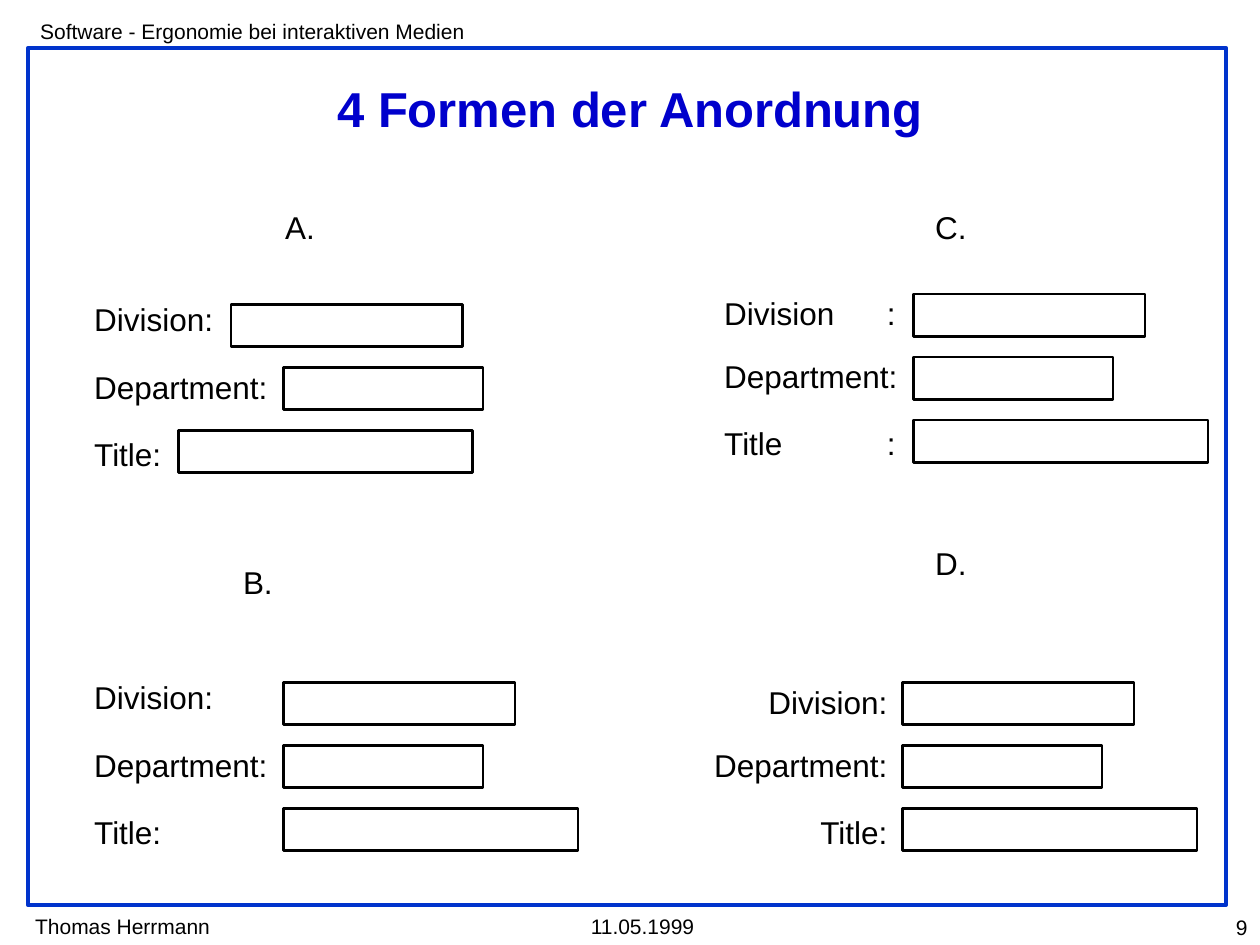
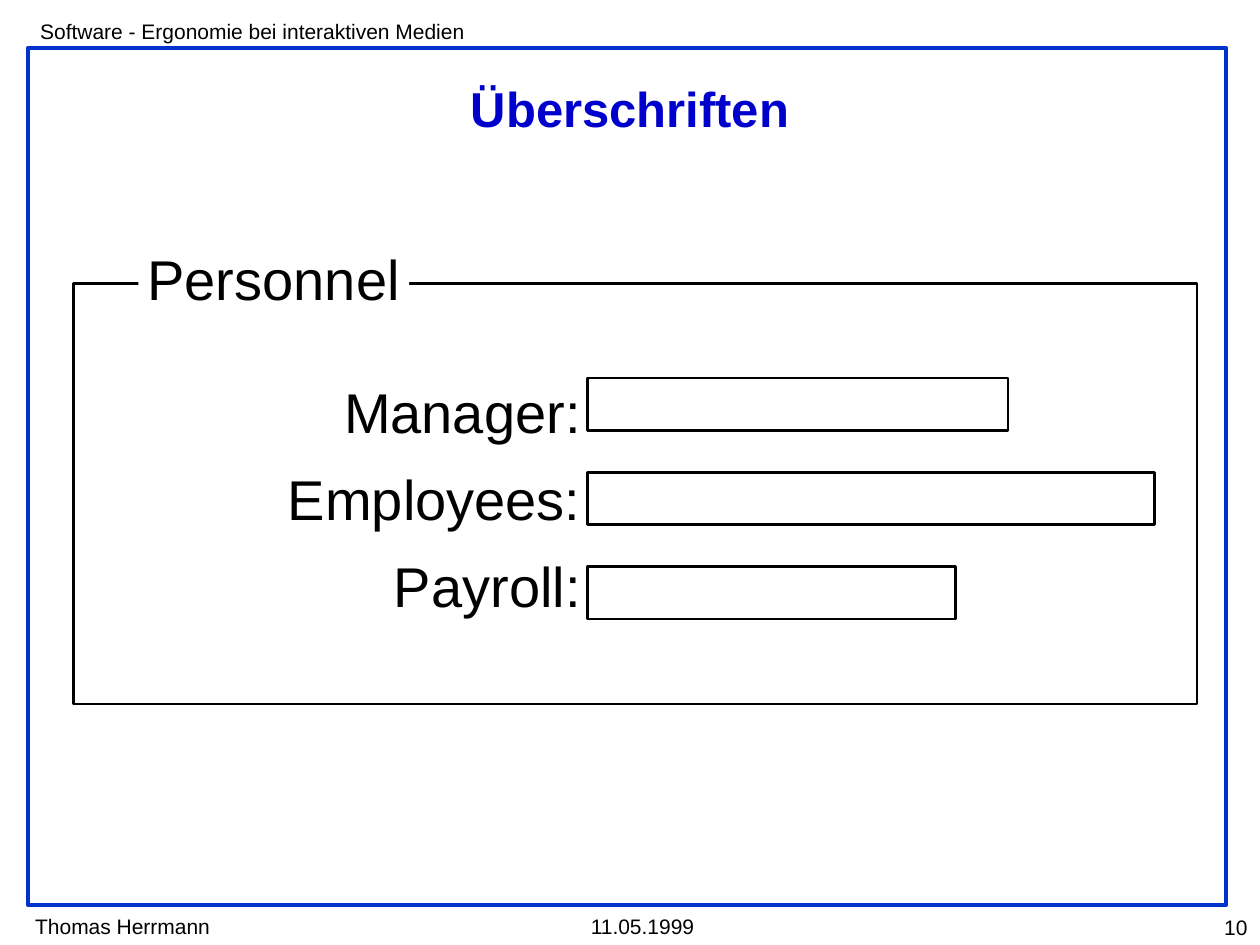
"""Build two slides on the layout of form labels and headings."""
from dataclasses import dataclass

import pptx
import pptx.dml.color
import pptx.enum.shapes
import pptx.enum.text
import pptx.oxml
import pptx.oxml.ns
import pptx.presentation
import pptx.shapes.autoshape
import pptx.slide
import pptx.util

Cm = pptx.util.Cm
Slide = pptx.slide.Slide
Shape = pptx.shapes.autoshape.Shape
Align = pptx.enum.text.PP_ALIGN
LEFT, MID, RIGHT = Align.LEFT, Align.CENTER, Align.RIGHT

COLORS = {"frame": "0033CC", "title": "0000CC", "ink": "000000", "paper": "FFFFFF"}
FONT = "Arial"
PLAIN = ("Division:", "Department:", "Title:")
SPLIT = ("Division\t:", "Department:", "Title\t:")
WIDTHS = (4.66, 4.02, 5.93)
PITCH = 1.27
MARK_W = 10.4
LABEL_W = 3.51
COLON = 3.28


@dataclass(frozen=True)
class Box:
    left: float
    top: float
    width: float
    height: float


@dataclass(frozen=True)
class Style:
    size: float
    align: Align = LEFT
    color: str = "ink"
    bold: bool = False
    inset: bool = False
    space: float = 1.0


@dataclass(frozen=True)
class Form:
    mark: str
    center: float
    mark_top: float
    top: float
    labels: tuple[str, ...]
    label_left: float
    shifts: tuple[float, ...]
    fields: tuple[float, ...]
    align: Align = LEFT


SMALL = Style(12, inset=True)
NUMBER = Style(12, RIGHT, inset=True)
TITLE = Style(28, MID, "title", bold=True, inset=True)
MARK = Style(18, MID)
LEGEND = Style(32, MID)
ROWS = Style(32, RIGHT, space=1.3)

FORMS = (
    Form("A.", 6.05, 4.19, 6.14, PLAIN, 1.9, (-0.1, 0, 0.08), (4.66, 5.72, 3.6)),
    Form("B.", 5.2, 11.35, 13.76, PLAIN, 1.9, (-0.1, 0, 0.08), (5.72,) * 3),
    Form("C.", 19.17, 4.19, 5.93, SPLIT, 14.6, (0, 0, 0.08), (18.42,) * 3),
    Form("D.", 19.17, 10.97, 13.76, PLAIN, 14.38, (0, 0, 0.08), (18.2,) * 3, RIGHT),
)


def paint(name: str) -> pptx.dml.color.RGBColor:
    return pptx.dml.color.RGBColor.from_string(COLORS[name])


def place(box: Box) -> tuple[Cm, Cm, Cm, Cm]:
    return Cm(box.left), Cm(box.top), Cm(box.width), Cm(box.height)


def draw(slide: Slide, box: Box, line: str = "ink", weight: float = 1.5) -> Shape:
    kind = pptx.enum.shapes.MSO_SHAPE.RECTANGLE
    shape = slide.shapes.add_shape(kind, *place(box))
    shape.shadow.inherit = False
    shape.fill.background()
    shape.line.color.rgb = paint(line)
    shape.line.width = pptx.util.Pt(weight)
    return shape


def fill(shape: Shape, text: str, style: Style, middle: bool = True) -> None:
    frame = shape.text_frame
    frame.text = text
    frame.word_wrap = True
    anchor = pptx.enum.text.MSO_ANCHOR
    frame.vertical_anchor = anchor.MIDDLE if middle else anchor.TOP
    frame.margin_left = frame.margin_right = Cm(0.25 if style.inset else 0)
    frame.margin_top = frame.margin_bottom = Cm(0.13 if style.inset else 0)
    for para in frame.paragraphs:
        para.alignment = style.align
        para.line_spacing = style.space
        for run in para.runs:
            run.font.name = FONT
            run.font.size = pptx.util.Pt(style.size)
            run.font.bold = style.bold
            run.font.color.rgb = paint(style.color)


def write(slide: Slide, box: Box, text: str, style: Style, middle: bool = True) -> Shape:
    shape = slide.shapes.add_textbox(*place(box))
    fill(shape, text, style, middle)
    return shape


def add_tab(shape: Shape, stop: float) -> None:
    props = shape.text_frame.paragraphs[0]._p.get_or_add_pPr()
    space = pptx.oxml.ns.nsdecls("a")
    props.append(pptx.oxml.parse_xml(
        f'<a:tabLst {space}><a:tab pos="{Cm(stop)}" algn="l"/></a:tabLst>'))


def start(deck: pptx.presentation.Presentation, title: str, page: int) -> Slide:
    slide = deck.slides.add_slide(deck.slide_layouts[6])
    draw(slide, Box(0.56, 0.97, 24.16, 17.27), "frame", 2.25)
    for box, text, style in (
        (Box(0.46, 18.28, 4.2, 0.76), "Thomas Herrmann", SMALL),
        (Box(0.56, 0.25, 9.4, 0.76), "Software - Ergonomie bei interaktiven Medien", SMALL),
        (Box(11.66, 18.28, 2.8, 0.76), "11.05.1999", SMALL),
        (Box(22.98, 18.3, 2.42, 0.76), str(page), NUMBER),
    ):
        write(slide, box, text, style, middle=False)
    write(slide, Box(1.27, 1.47, 22.86, 1.42), title, TITLE)
    return slide


def add_form(slide: Slide, form: Form) -> None:
    mark = Box(form.center - MARK_W / 2, form.mark_top, MARK_W, 0.76)
    write(slide, mark, form.mark, MARK)
    rows = zip(form.labels, form.shifts, form.fields, WIDTHS)
    for row, (text, shift, left, width) in enumerate(rows):
        top = form.top + row * PITCH
        box = Box(form.label_left, top + shift, LABEL_W, 0.76)
        label = write(slide, box, text, Style(18, form.align))
        if "\t" in text:
            add_tab(label, COLON)
        draw(slide, Box(left, top, width, 0.85))


def add_panel(slide: Slide) -> None:
    draw(slide, Box(1.48, 5.72, 22.65, 8.47))
    legend = draw(slide, Box(2.79, 4.93, 5.46, 1.35))
    legend.fill.solid()
    legend.fill.fore_color.rgb = paint("paper")
    legend.line.fill.background()
    fill(legend, "Personnel", LEGEND)
    labels = "Manager:\nEmployees:\nPayroll:"
    write(slide, Box(2.74, 7.2, 8.97, 5.28), labels, ROWS)
    for row, width in enumerate((8.47, 11.43, 7.41)):
        draw(slide, Box(11.85, 7.62 + row * 1.9, width, 1.06))


def main() -> None:
    deck = pptx.Presentation()
    deck.slide_width, deck.slide_height = Cm(25.4), Cm(19.05)
    slide = start(deck, "4 Formen der Anordnung", 9)
    for form in FORMS:
        add_form(slide, form)
    add_panel(start(deck, "Überschriften", 10))
    deck.save("out.pptx")


if __name__ == "__main__":
    main()
